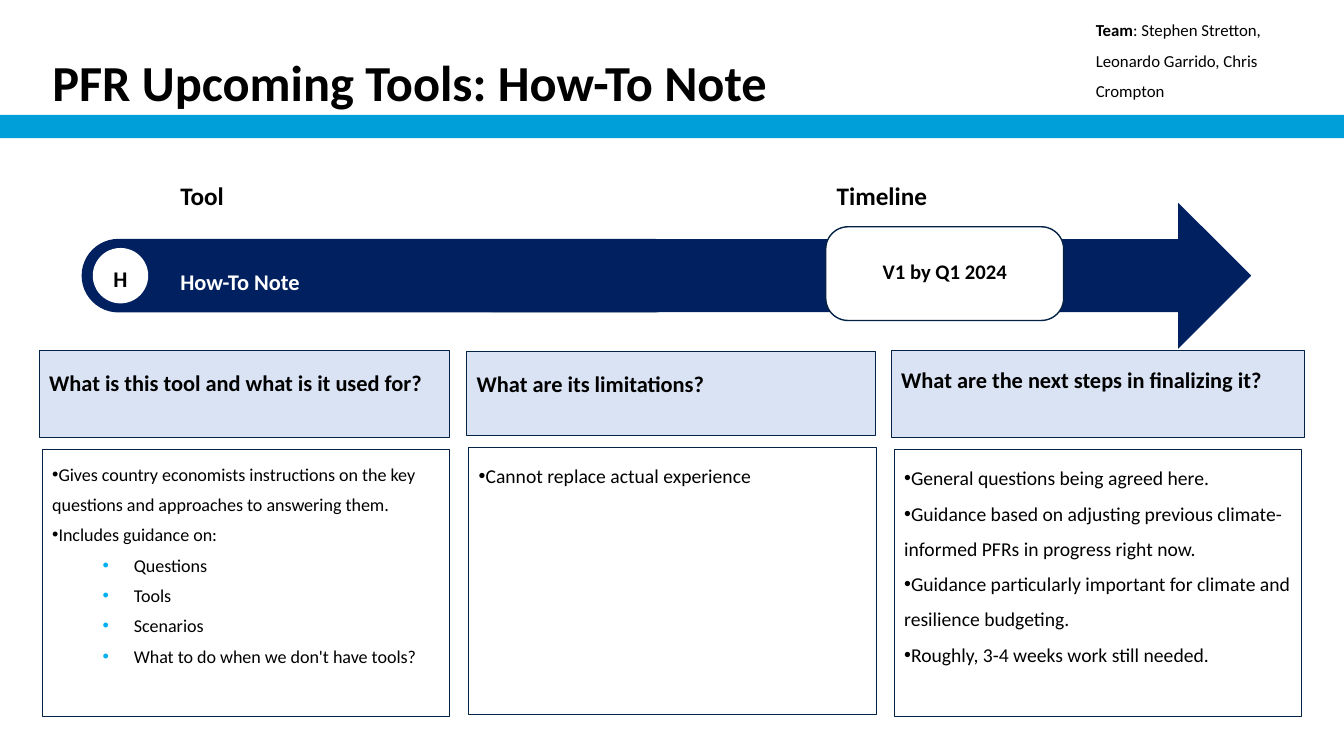
"""Build the How-To Note slide: title band, timeline arrow and three question panels."""
from dataclasses import dataclass

from lxml.etree import SubElement
from pptx import Presentation
from pptx.dml.color import RGBColor
from pptx.enum.shapes import MSO_SHAPE as Shape
from pptx.enum.text import MSO_ANCHOR as Anchor, PP_ALIGN as Align
from pptx.oxml.ns import qn
from pptx.util import Inches, Pt


@dataclass(frozen=True)
class Theme:
    font: str = "Calibri"
    black: str = "000000"
    white: str = "FFFFFF"
    band: str = "009FDA"
    navy: str = "002060"
    outline: str = "042245"
    header: str = "DAE3F3"
    bullet: str = "00B0F0"
    title: float = 36
    label: float = 18
    heading: float = 16
    timeline: float = 14.8
    body: float = 14
    small_body: float = 12.9
    team: float = 12


theme = Theme()


def add_box(kind, position, fill=None, line_width=None):
    shape = slide.shapes.add_shape(kind, *map(Inches, position))
    shape.shadow.inherit = False
    if fill:
        shape.fill.solid()
        shape.fill.fore_color.rgb = RGBColor.from_string(fill)
    else:
        shape.fill.background()
    if line_width:
        shape.line.color.rgb = RGBColor.from_string(theme.outline)
        shape.line.width = Pt(line_width)
    else:
        shape.line.fill.background()
    return shape


def style_text(shape, size, spacing, bold=True, color=theme.black, align=Align.LEFT, anchor=Anchor.TOP):
    frame = shape.text_frame
    frame.word_wrap = True
    frame.vertical_anchor = anchor
    for paragraph in frame.paragraphs:
        paragraph.alignment = align
        paragraph.line_spacing = spacing
        for run in paragraph.runs:
            run.font.name = theme.font
            run.font.size = Pt(size)
            run.font.bold = bold
            run.font.color.rgb = RGBColor.from_string(color)


presentation = Presentation()
presentation.slide_width = Inches(13.33)
presentation.slide_height = Inches(7.5)
slide = presentation.slides.add_slide(presentation.slide_layouts[6])

add_box(Shape.RECTANGLE, (0, 1.14, 13.33, 0.23), theme.band)
arrow_tail = add_box(Shape.ROUNDED_RECTANGLE, (0.81, 2.37, 6.04, 0.73), theme.navy)
arrow_tail.adjustments[0] = 0.5
add_box(Shape.RIGHT_ARROW, (4.88, 2.01, 7.53, 1.45), theme.navy)
timeline_card = add_box(Shape.ROUNDED_RECTANGLE, (8.19, 2.25, 2.36, 0.93), theme.white, 1)
timeline_card.adjustments[0] = 0.238
add_box(Shape.OVAL, (0.92, 2.46, 0.55, 0.55), theme.white)

labels = [
    ("PFR Upcoming Tools: How-To Note", (0.42, 0.52, 12.48, 0.63), theme.title, 0.8,
     {"anchor": Anchor.BOTTOM}),
    ("Tool", (1.69, 1.59, 2.21, 0.58), theme.label, 1.5, {}),
    ("Timeline", (8.2, 1.59, 2.21, 0.63), theme.label, 1.5, {}),
    ("V1 by Q1 2024", (8.31, 2.22, 2.12, 0.84), theme.timeline, 1.4,
     {"align": Align.CENTER, "anchor": Anchor.MIDDLE}),
    ("H", (0.92, 2.45, 0.55, 0.55), theme.heading, 1.5, {"align": Align.CENTER}),
    ("How-To Note", (1.69, 2.48, 5.69, 0.52), theme.heading, 1.5, {"color": theme.white}),
]
for text, position, size, spacing, options in labels:
    label = slide.shapes.add_textbox(*map(Inches, position))
    label.text_frame.text = text
    style_text(label, size, spacing, **options)

panels = [
    ("What is this tool and what is it used for?", (0.39, 3.48, 4.07, 0.86), 1.5,
     (0.42, 4.46, 4.04, 2.65), theme.small_body, 1.4,
     [(0, "Gives country economists instructions on the key questions and approaches to answering them."),
      (0, "Includes guidance on:"),
      (1, "Questions"),
      (1, "Tools"),
      (1, "Scenarios"),
      (1, "What to do when we don't have tools?")]),
    ("What are its limitations?", (4.63, 3.49, 4.05, 0.83), 1.5,
     (4.65, 4.44, 4.04, 2.65), theme.body, 1.5,
     [(0, "Cannot replace actual experience")]),
    ("What are the next steps in finalizing it?", (8.84, 3.48, 4.1, 0.86), 1.4,
     (8.87, 4.46, 4.04, 2.65), theme.body, 1.5,
     [(0, "General questions being agreed here."),
      (0, "Guidance based on adjusting previous climate-informed PFRs in progress right now."),
      (0, "Guidance particularly important for climate and resilience budgeting."),
      (0, "Roughly, 3-4 weeks work still needed.")]),
]
indents = [(0, -0.25), (0.81, -0.31)]
for question, header_position, header_spacing, body_position, size, spacing, points in panels:
    header = add_box(Shape.RECTANGLE, header_position, theme.header, 0.75)
    header.text_frame.text = question
    style_text(header, theme.heading, header_spacing)

    body = add_box(Shape.RECTANGLE, body_position, line_width=0.75)
    body.text_frame.text = "\n".join(text for level, text in points)
    style_text(body, size, spacing, bold=False)
    for paragraph, (level, text) in zip(body.text_frame.paragraphs, points):
        paragraph.level = level
        properties = paragraph._p.get_or_add_pPr()
        margin, indent = indents[level]
        properties.set("marL", str(Inches(margin)))
        properties.set("indent", str(Inches(indent)))
        if level:
            bullet_color = SubElement(properties, qn("a:buClr"))
            SubElement(bullet_color, qn("a:srgbClr"), val=theme.bullet)
        SubElement(properties, qn("a:buFont"), typeface="Arial")
        SubElement(properties, qn("a:buChar"), char="•")

team = slide.shapes.add_textbox(Inches(10.77), Inches(0.05), Inches(2.14), Inches(1.02))
team_paragraph = team.text_frame.paragraphs[0]
team_paragraph.text = "Team"
team_paragraph.add_run().text = ": Stephen Stretton, Leonardo Garrido, Chris Crompton"
style_text(team, theme.team, 1.5, bold=False)
team_paragraph.runs[0].font.bold = True

presentation.save("out.pptx")
